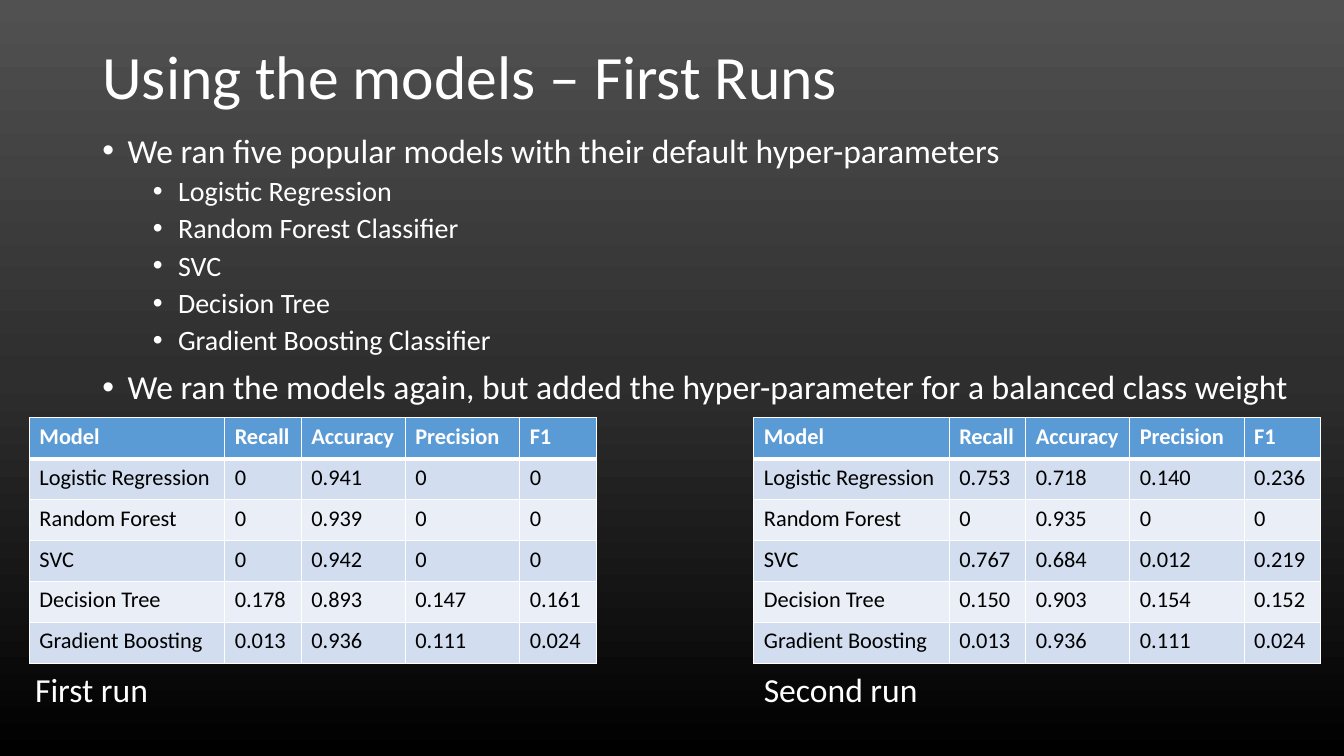
from copy import deepcopy

from lxml import etree
from pptx import Presentation
from pptx.dml.color import RGBColor
from pptx.enum.text import MSO_ANCHOR, MSO_AUTO_SIZE, PP_ALIGN
from pptx.oxml.ns import qn
from pptx.util import Pt

LEFT = PP_ALIGN.LEFT
TOP = MSO_ANCHOR.TOP
MIDDLE = MSO_ANCHOR.MIDDLE
NO_FIT = MSO_AUTO_SIZE.NONE
GROW = MSO_AUTO_SIZE.SHAPE_TO_FIT_TEXT

SCALE = 9525
FONT = "Calibri"
WHITE = "FFFFFF"
BLACK = "000000"
BLUE = "5B9BD5"
BANDS = ("D2DEEF", "EAEFF7")
STOPS = ((0, "515151"), (0.5, "2E2E2E"), (1, BLACK))

POINTS = [
    (0, "We ran five popular models with their default hyper-parameters"),
    (1, "Logistic Regression"),
    (1, "Random Forest Classifier"),
    (1, "SVC"),
    (1, "Decision Tree"),
    (1, "Gradient Boosting Classifier"),
    (0, "We ran the models again, but added the hyper-parameter for a balanced class weight"),
]
LEVELS = ((24, 24, 10), (72, 20, 5))
HANG = 24

HEADS = ("Model", "Recall", "Accuracy", "Precision", "F1")
MODELS = ("Logistic Regression", "Random Forest", "SVC", "Decision Tree", "Gradient Boosting")
COLS = (186, 73, 99, 109, 73)
ROW = 39
FIRST = [
    ("0", "0.941", "0", "0"),
    ("0", "0.939", "0", "0"),
    ("0", "0.942", "0", "0"),
    ("0.178", "0.893", "0.147", "0.161"),
    ("0.013", "0.936", "0.111", "0.024"),
]
SECOND = [
    ("0.753", "0.718", "0.140", "0.236"),
    ("0", "0.935", "0", "0"),
    ("0.767", "0.684", "0.012", "0.219"),
    ("0.150", "0.903", "0.154", "0.152"),
    ("0.013", "0.936", "0.111", "0.024"),
]


def px(n):
    return int(n * SCALE)


def color(code):
    return RGBColor.from_string(code)


def place(shape, box):
    shape.left, shape.top, shape.width, shape.height = map(px, box)


def add_run(para, text, size, code=WHITE, bold=False):
    run = para.add_run()
    run.text = text
    font = run.font
    font.name, font.size, font.bold = FONT, Pt(size), bold
    font.color.rgb = color(code)


def back(slide):
    fill = slide.background.fill
    fill.gradient()
    fill.gradient_angle = 270
    group = next(slide.element.iter(qn("a:gsLst")))
    group.append(deepcopy(group[0]))
    for stop, (pos, code) in zip(fill.gradient_stops, STOPS):
        stop.position = pos
        stop.color.rgb = color(code)


def title(slide, box):
    shape = slide.shapes.title
    place(shape, box)
    frame = shape.text_frame
    frame.auto_size = NO_FIT
    frame.vertical_anchor = MIDDLE
    para = frame.paragraphs[0]
    para.alignment = LEFT
    para.line_spacing = 0.9
    add_run(para, "Using the models – First Runs", 44)


def bullets(slide, box):
    shape = slide.placeholders[1]
    place(shape, box)
    frame = shape.text_frame
    frame.auto_size = NO_FIT
    frame.vertical_anchor = TOP
    for i, (level, text) in enumerate(POINTS):
        para = frame.add_paragraph() if i else frame.paragraphs[0]
        indent, size, gap = LEVELS[level]
        para.level = level
        para.line_spacing = 0.9
        para.space_before = Pt(gap)
        props = para._p.get_or_add_pPr()
        props.set("marL", str(px(indent)))
        props.set("indent", str(px(-HANG)))
        etree.SubElement(props, qn("a:buFont")).set("typeface", "Arial")
        etree.SubElement(props, qn("a:buChar")).set("char", "•")
        add_run(para, text, size)


def border(cell, row):
    props = cell._tc.get_or_add_tcPr()
    widths = {"L": 1, "R": 1, "T": 3 if row == 1 else 1, "B": 1 if row else 3}
    for i, (side, width) in enumerate(widths.items()):
        line = etree.Element(qn("a:ln" + side), w=str(Pt(width)))
        solid = etree.SubElement(line, qn("a:solidFill"))
        etree.SubElement(solid, qn("a:srgbClr")).set("val", WHITE)
        props.insert(i, line)


def scores(slide, x, y, values):
    rows = [HEADS] + [(name, *nums) for name, nums in zip(MODELS, values)]
    frame = slide.shapes.add_table(
        len(rows), len(COLS), px(x), px(y), px(sum(COLS)), px(ROW * len(rows)))
    table = frame.table
    for col, width in zip(table.columns, COLS):
        col.width = px(width)
    for r, texts in enumerate(rows):
        table.rows[r].height = px(ROW)
        for c, text in enumerate(texts):
            cell = table.cell(r, c)
            cell.fill.solid()
            cell.fill.fore_color.rgb = color(BANDS[(r - 1) % 2] if r else BLUE)
            border(cell, r)
            add_run(cell.text_frame.paragraphs[0], text, 16, BLACK if r else WHITE, r == 0)


def label(slide, box, text):
    frame = slide.shapes.add_textbox(*map(px, box)).text_frame
    frame.word_wrap = False
    frame.auto_size = GROW
    add_run(frame.paragraphs[0], text, 24)


def main():
    deck = Presentation()
    deck.slide_width, deck.slide_height = px(1280), px(720)
    slide = deck.slides.add_slide(deck.slide_layouts[1])
    back(slide)
    title(slide, (88, 38, 1104, 76))
    bullets(slide, (88, 123, 1180, 520))
    scores(slide, 28, 398, FIRST)
    scores(slide, 718, 398, SECOND)
    label(slide, (24, 632, 128, 48), "First run")
    label(slide, (718, 632, 167, 48), "Second run")
    deck.save("out.pptx")


if __name__ == "__main__":
    main()
